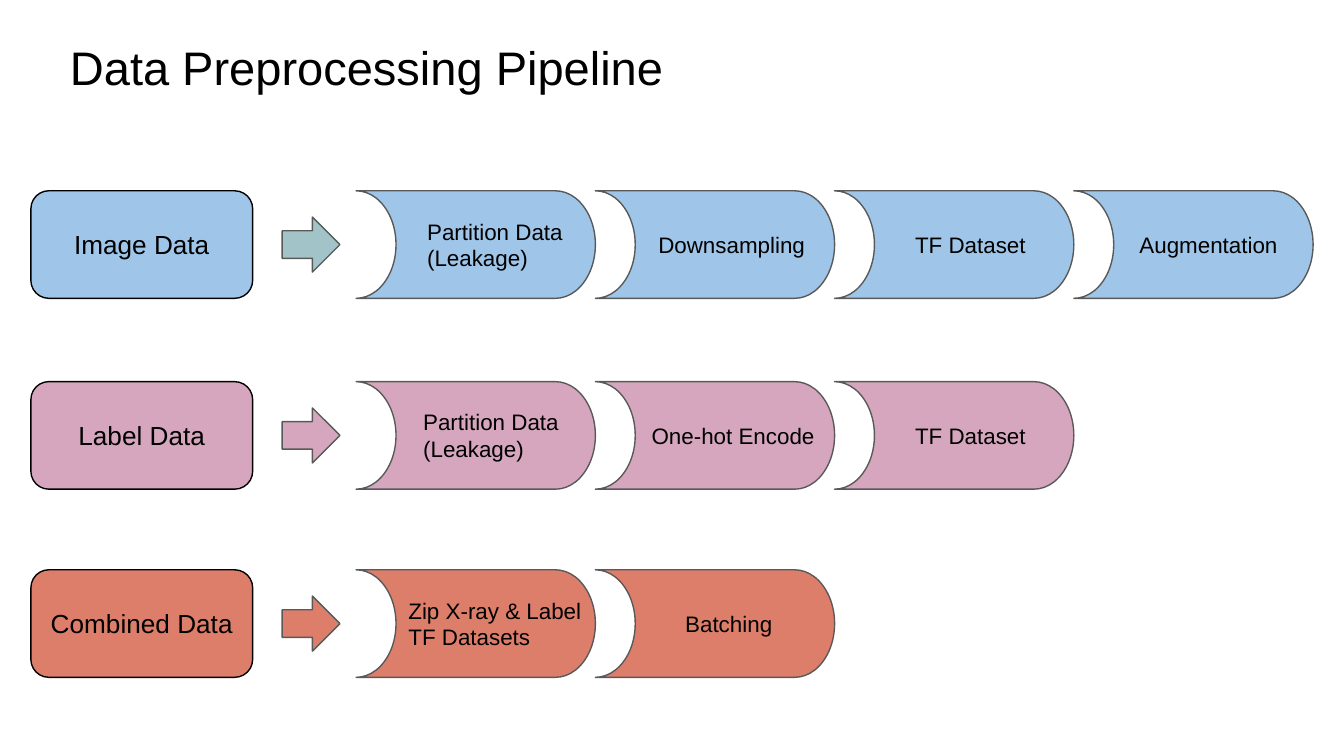
from dataclasses import dataclass

from pptx import Presentation
from pptx.dml.color import RGBColor
from pptx.enum.shapes import MSO_SHAPE
from pptx.enum.text import MSO_ANCHOR, MSO_AUTO_SIZE, PP_ALIGN
from pptx.util import Inches, Pt

ROUNDED = MSO_SHAPE.ROUNDED_RECTANGLE
ARROW = MSO_SHAPE.RIGHT_ARROW
STORAGE = MSO_SHAPE.FLOWCHART_STORED_DATA
LEFT, CENTER = PP_ALIGN.LEFT, PP_ALIGN.CENTER
TOP, MIDDLE, BOTTOM = MSO_ANCHOR.TOP, MSO_ANCHOR.MIDDLE, MSO_ANCHOR.BOTTOM
GROW, NO_FIT = MSO_AUTO_SIZE.SHAPE_TO_FIT_TEXT, MSO_AUTO_SIZE.NONE


@dataclass(frozen=True)
class Theme:
    font: str = "Arial"
    text: str = "000000"
    outline: str = "595959"
    background: str = "FFFFFF"
    blue: str = "9FC5E8"
    teal: str = "A2C4C9"
    pink: str = "D5A6BD"
    red: str = "DD7E6B"
    title_size: float = 25.2
    source_size: float = 14
    step_size: float = 12
    line_width: float = 0.75


@dataclass(frozen=True)
class Grid:
    """Columns and row height in inches."""
    source_left: float = 0.23
    source_width: float = 1.65
    arrow_left: float = 2.1
    arrow_width: float = 0.43
    arrow_height: float = 0.41
    step_left: float = 2.65
    step_width: float = 1.78
    row_height: float = 0.8


@dataclass(frozen=True)
class Step:
    text: str
    indent: float  # label offset from the left of its column
    width: float
    lines: int = 1


@dataclass(frozen=True)
class Pipeline:
    source: str
    top: float
    fill: str
    arrow_fill: str
    steps: tuple[Step, ...]


THEME = Theme()
GRID = Grid()

PIPELINES = (
    Pipeline("Image Data", 1.42, THEME.blue, THEME.teal, (
        Step("Partition Data (Leakage)", 0.43, 1.27, 2),
        Step("Downsampling", 0.37, 1.3),
        Step("TF Dataset", 0.5, 1.11),
        Step("Augmentation", 0.39, 1.3),
    )),
    Pipeline("Label Data", 2.84, THEME.pink, THEME.pink, (
        Step("Partition Data (Leakage)", 0.4, 1.32, 2),
        Step("One-hot Encode", 0.32, 1.47),
        Step("TF Dataset", 0.5, 1.11),
    )),
    Pipeline("Combined Data", 4.24, THEME.red, THEME.red, (
        Step("Zip X-ray & Label TF Datasets", 0.29, 1.55, 2),
        Step("Batching", 0.57, 0.96),
    )),
)


def write(s, text: str, *, size: float, align=LEFT, anchor=TOP, fit=NO_FIT) -> None:
    tf = s.text_frame
    tf.word_wrap = True
    tf.auto_size = fit
    tf.vertical_anchor = anchor
    tf.margin_left = tf.margin_right = tf.margin_top = tf.margin_bottom = Inches(0.1)
    p = tf.paragraphs[0]
    p.alignment = align
    r = p.add_run()
    r.text = text
    r.font.name = THEME.font
    r.font.size = Pt(size)
    r.font.color.rgb = RGBColor.from_string(THEME.text)


def add_block(slide, kind, left: float, top: float, width: float, height: float,
              fill: str, line: str = THEME.outline):
    s = slide.shapes.add_shape(kind, Inches(left), Inches(top), Inches(width), Inches(height))
    s.shadow.inherit = False
    s.fill.solid()
    s.fill.fore_color.rgb = RGBColor.from_string(fill)
    s.line.color.rgb = RGBColor.from_string(line)
    s.line.width = Pt(THEME.line_width)
    return s


def add_step(slide, pipeline: Pipeline, column: int, step: Step) -> None:
    left = GRID.step_left + column * GRID.step_width
    s = add_block(slide, STORAGE, left, pipeline.top, GRID.step_width, GRID.row_height,
                  pipeline.fill)
    s._element.spPr.get_or_add_xfrm().set("flipH", "1")

    # Label, centred on the row
    height = 0.2 + 0.2 * step.lines
    top = pipeline.top + (GRID.row_height - height) / 2
    label = slide.shapes.add_textbox(Inches(left + step.indent), Inches(top),
                                     Inches(step.width), Inches(height))
    write(label, step.text, size=THEME.step_size, fit=GROW)


def add_pipeline(slide, pipeline: Pipeline) -> None:
    # Source box
    s = add_block(slide, ROUNDED, GRID.source_left, pipeline.top, GRID.source_width,
                  GRID.row_height, pipeline.fill, THEME.text)
    write(s, pipeline.source, size=THEME.source_size, align=CENTER, anchor=MIDDLE)

    # Arrow to the steps
    arrow_top = pipeline.top + (GRID.row_height - GRID.arrow_height) / 2
    add_block(slide, ARROW, GRID.arrow_left, arrow_top, GRID.arrow_width,
              GRID.arrow_height, pipeline.arrow_fill)

    for column, step in enumerate(pipeline.steps):
        add_step(slide, pipeline, column, step)


def main() -> None:
    # Widescreen 16:9 slide
    prs = Presentation()
    prs.slide_width = Inches(10)
    prs.slide_height = prs.slide_width * 9 // 16
    slide = prs.slides.add_slide(prs.slide_layouts[5])
    slide.background.fill.solid()
    slide.background.fill.fore_color.rgb = RGBColor.from_string(THEME.background)

    # Title
    title = slide.shapes.title
    title.left, title.top = Inches(0.42), Inches(0.18)
    title.width, title.height = Inches(5.55), Inches(0.63)
    write(title, "Data Preprocessing Pipeline", size=THEME.title_size, anchor=BOTTOM)

    # Pipelines
    for pipeline in PIPELINES:
        add_pipeline(slide, pipeline)

    prs.save("out.pptx")


if __name__ == "__main__":
    main()
